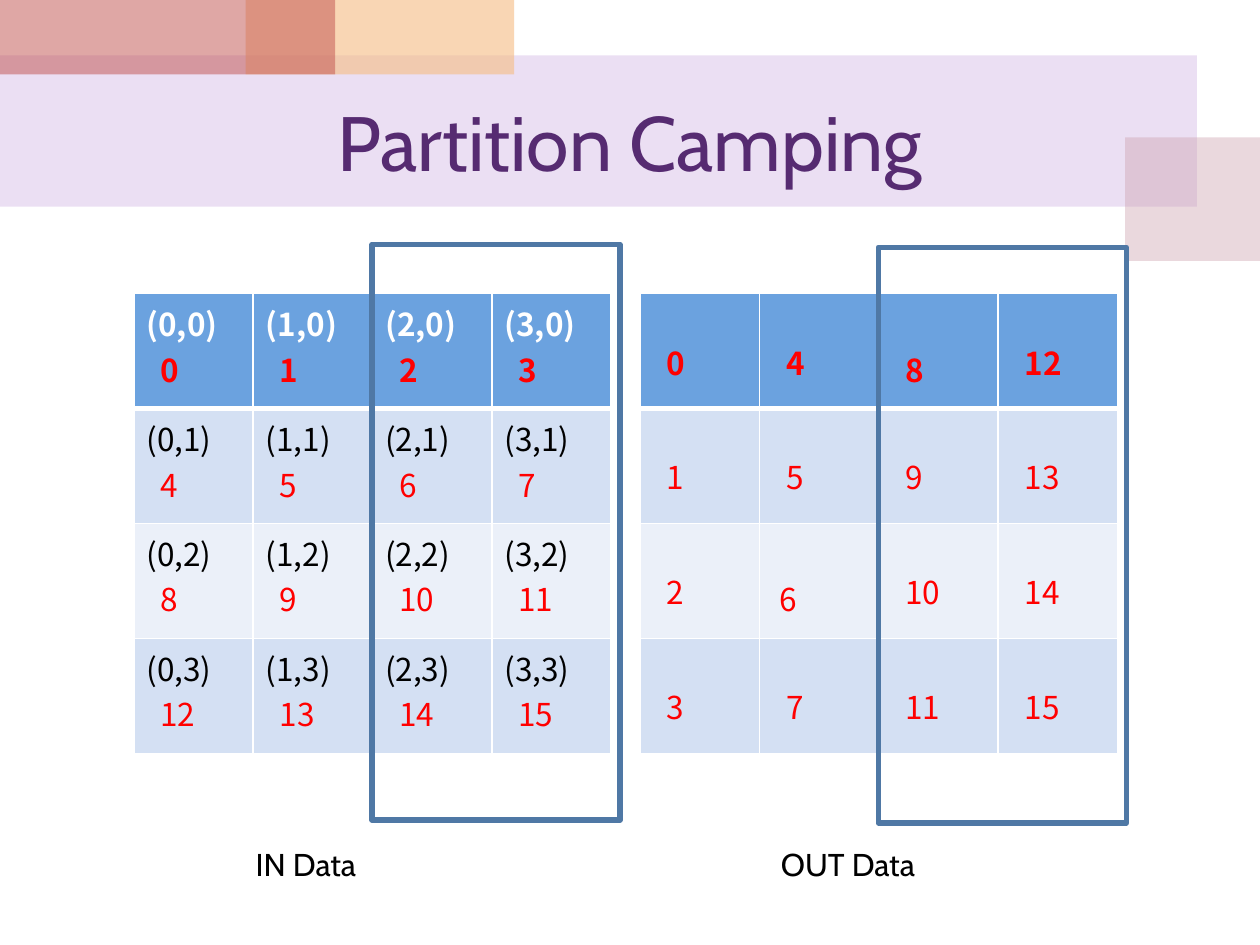
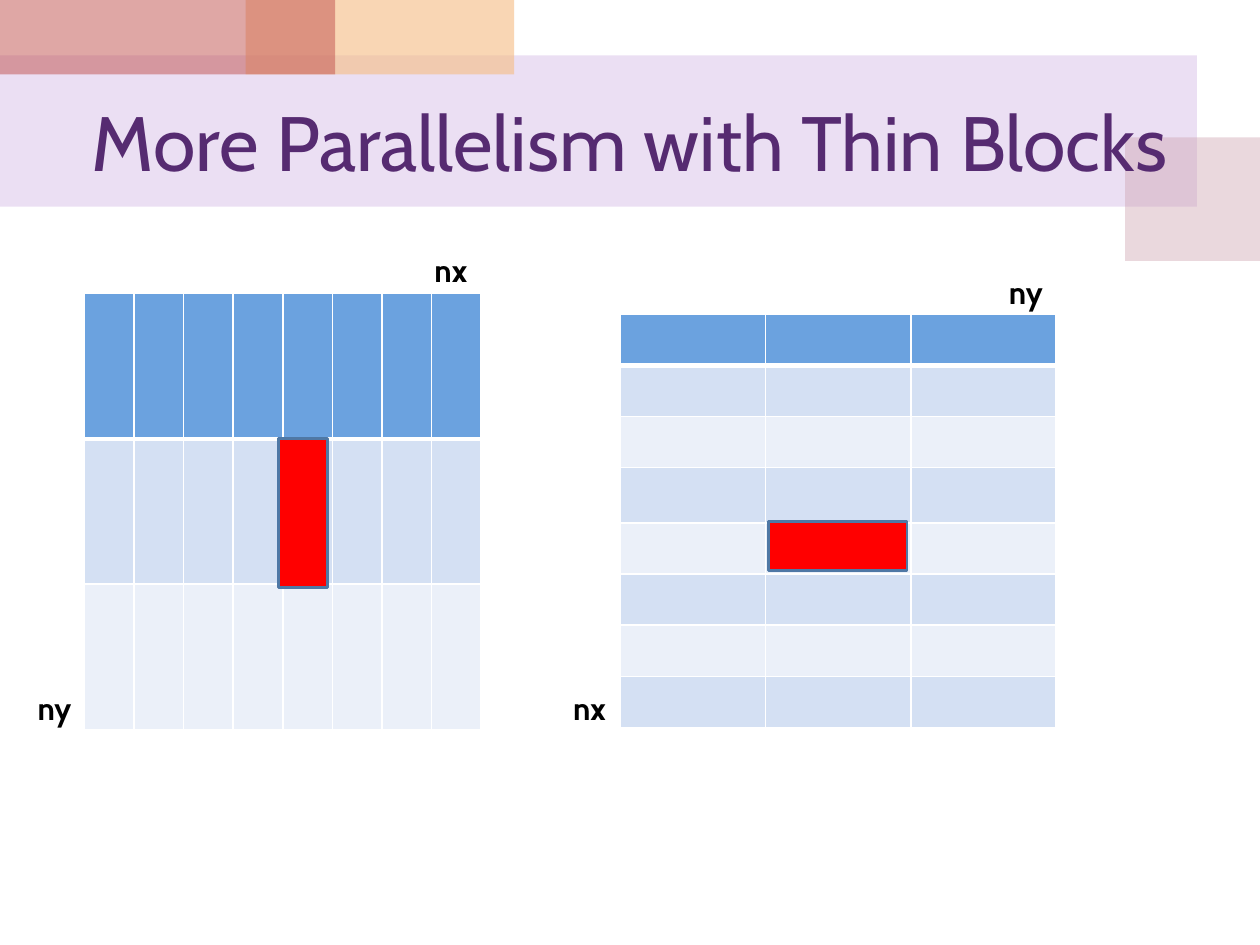
from lxml import etree
from pptx import Presentation
from pptx.dml.color import RGBColor
from pptx.enum.shapes import MSO_SHAPE
from pptx.enum.text import MSO_ANCHOR, MSO_AUTO_SIZE, PP_ALIGN
from pptx.oxml.ns import qn
from pptx.util import Pt

RECT = MSO_SHAPE.RECTANGLE
MIDDLE = MSO_ANCHOR.MIDDLE
CENTER = PP_ALIGN.CENTER
GROW, NO_FIT = MSO_AUTO_SIZE.SHAPE_TO_FIT_TEXT, MSO_AUTO_SIZE.NONE

LILAC = RGBColor(0xBF, 0x98, 0xD8)
ROSE = RGBColor(0xCC, 0x9E, 0xAC)
PEACH = RGBColor(0xF5, 0xBC, 0x83)
BRICK = RGBColor(0xC0, 0x50, 0x4D)
PURPLE = RGBColor(0x56, 0x2B, 0x71)
HEADER = RGBColor(0x6B, 0xA2, 0xDF)
STRIPES = (RGBColor(0xEB, 0xF0, 0xF9), RGBColor(0xD4, 0xE0, 0xF3))
STEEL = RGBColor(0x4F, 0x78, 0xA5)
RED = RGBColor(0xFF, 0, 0)
BLACK = RGBColor(0, 0, 0)
WHITE = RGBColor(0xFF, 0xFF, 0xFF)

FONT = "Cabin"
CELL_FONT = "Noto Sans CJK KR"

# Left, top, width, height, colour, opacity in percent
BANDS = [
    (0, 31.7, 684, 86.4, LILAC, 30),
    (643, 78.5, 77, 70.6, ROSE, 40),
    (140.4, 0, 153.4, 42.5, PEACH, 60),
    (0, 0, 191.5, 42.5, BRICK, 50),
]

N = 4  # matrix size
CELL_W, CELL_H = 68.2, 65.7
INSET = 8  # indent of the numbers within a cell


def style_font(p, size, color, name=FONT, bold=False):
    p.font.size, p.font.name, p.font.bold = Pt(size), name, bold
    p.font.color.rgb = color


def add_rect(slide, x, y, w, h, fill=None, line=None, line_width=1, opacity=100):
    sp = slide.shapes.add_shape(RECT, Pt(x), Pt(y), Pt(w), Pt(h))
    sp.shadow.inherit = False
    if fill is None:
        sp.fill.background()
    else:
        sp.fill.solid()
        sp.fill.fore_color.rgb = fill
        if opacity < 100:
            clr = sp._element.spPr.find(".//" + qn("a:srgbClr"))
            etree.SubElement(clr, qn("a:alpha"), val=str(opacity * 1000))
    if line is None:
        sp.line.fill.background()
    else:
        sp.line.color.rgb = line
        sp.line.width = Pt(line_width)


def add_label(slide, text, x, y, w, bold=False):
    box = slide.shapes.add_textbox(Pt(x), Pt(y), Pt(w), Pt(28.8))
    tf = box.text_frame
    tf.word_wrap = True
    tf.auto_size = GROW
    tf.text = text
    style_font(tf.paragraphs[0], 18, BLACK, bold=bold)


def set_borders(cell, top, bottom):
    tc_pr = cell._tc.get_or_add_tcPr()
    for side, width in (("L", 1), ("R", 1), ("T", top), ("B", bottom)):
        ln = etree.SubElement(tc_pr, qn("a:ln" + side), w=str(Pt(width)))
        fill = etree.SubElement(ln, qn("a:solidFill"))
        etree.SubElement(fill, qn("a:srgbClr"), val=str(WHITE))


def add_grid(slide, x, y, widths, heights):
    """Striped table with a header row and white rules."""
    table = slide.shapes.add_table(len(heights), len(widths), Pt(x), Pt(y),
                                   Pt(sum(widths)), Pt(sum(heights))).table
    for column, width in zip(table.columns, widths):
        column.width = Pt(width)
    for r, height in enumerate(heights):
        table.rows[r].height = Pt(height)
        for cell in table.rows[r].cells:
            set_borders(cell, 3 if r == 1 else 1, 3 if r == 0 else 1)
            cell.fill.solid()
            cell.fill.fore_color.rgb = STRIPES[r % 2] if r else HEADER
    return table


def add_titled_slide(prs, title):
    slide = prs.slides.add_slide(prs.slide_layouts[5])
    for x, y, w, h, color, opacity in BANDS:
        add_rect(slide, x, y, w, h, color, opacity=opacity)
    # Title in front of the bands
    sp = slide.shapes.title
    slide.shapes._spTree.append(sp._element)
    sp.left, sp.top, sp.width, sp.height = Pt(36), Pt(42.5), Pt(648), Pt(75.6)
    tf = sp.text_frame
    tf.text = title
    tf.auto_size = NO_FIT
    tf.vertical_anchor = MIDDLE
    p = tf.paragraphs[0]
    p.alignment = CENTER
    style_font(p, 44, PURPLE)
    return slide


def add_matrix(slide, x, y):
    return add_grid(slide, x, y, [CELL_W] * N, [CELL_H] * N)


def fill_in_matrix(table):
    """Coordinates, with the row-major index below."""
    for r in range(N):
        for c in range(N):
            tf = table.cell(r, c).text_frame
            tf.text = f"({c},{r})\n{N * r + c}"
            coords, index = tf.paragraphs
            index._p.get_or_add_pPr().set("marL", str(Pt(INSET)))
            style_font(coords, 18, BLACK if r else WHITE, CELL_FONT, r == 0)
            style_font(index, 18, RED, CELL_FONT, r == 0)


def fill_out_matrix(table):
    """Column-major index on the lower line of each cell."""
    for r in range(N):
        for c in range(N):
            cell = table.cell(r, c)
            cell.text = str(N * c + r)
            lowered = (r, c) in ((0, 2), (2, 1))
            cell.margin_top = Pt(29.6 if lowered else 25.6)
            cell.margin_left = Pt(7.2 + (INSET / 2 if (r, c) == (2, 1) else INSET))
            style_font(cell.text_frame.paragraphs[0], 18, RED, CELL_FONT, r == 0)


def add_matrix_panel(slide, x, y, fill_matrix, frame_dy, caption, caption_dx, caption_w):
    fill_matrix(add_matrix(slide, x, y))
    # Frame around the two right-hand columns
    add_rect(slide, x + 136.1, y + frame_dy, 141.8, 329, line=STEEL, line_width=3)
    add_label(slide, caption, x + caption_dx, y + 311.7, caption_w)


def add_block_panel(slide, x, y, widths, heights, block, labels):
    add_grid(slide, x, y, widths, heights)
    for text, dx, dy, w in labels:
        add_label(slide, text, x + dx, y + dy, w, bold=True)
    dx, dy, w, h = block
    add_rect(slide, x + dx, y + dy, w, h, RED, STEEL, 1.5)


def main():
    prs = Presentation()
    prs.slide_width, prs.slide_height = Pt(720), Pt(540)

    # Partition camping
    slide = add_titled_slide(prs, "Partition Camping")
    add_matrix_panel(slide, 76.5, 167.8, fill_in_matrix, -28.1, "IN Data", 62.5, 198.7)
    add_matrix_panel(slide, 365.8, 167.8, fill_out_matrix, -26.5, "OUT Data", 73.4, 124.6)

    # Thin blocks
    slide = add_titled_slide(prs, "More Parallelism with Thin Blocks")
    add_block_panel(slide, 48.2, 167.8, [28.35] * 8, [83] * 3,
                    (110.9, 82.8, 28.1, 85),
                    [("nx", 193, -28.1, 33.8), ("ny", -33.8, 222.4, 45.4)])
    add_block_panel(slide, 354.5, 179.5, [83] * 3, [29.2] * 3 + [31.8] + [29.2] * 4,
                    (84.7, 118.6, 79.2, 28.1),
                    [("ny", 215, -26.9, 45.4), ("nx", -34.1, 210.7, 33.8)])

    prs.save("out.pptx")


if __name__ == "__main__":
    main()
